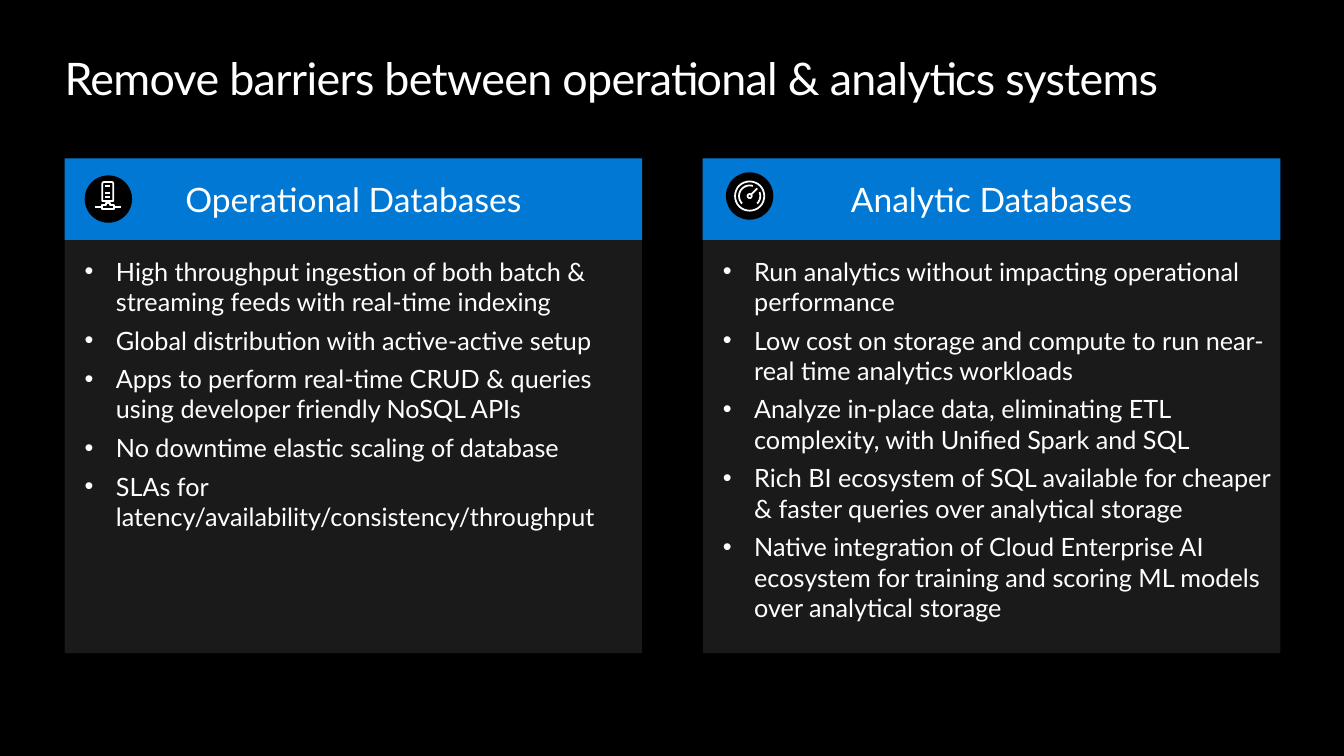
import math

from lxml import etree
from pptx import Presentation
from pptx.dml.color import RGBColor
from pptx.enum.shapes import MSO_SHAPE
from pptx.enum.text import MSO_ANCHOR, MSO_AUTO_SIZE, PP_ALIGN
from pptx.oxml.ns import qn
from pptx.util import Inches, Pt

RECT, OVAL = MSO_SHAPE.RECTANGLE, MSO_SHAPE.OVAL
TOP, MIDDLE = MSO_ANCHOR.TOP, MSO_ANCHOR.MIDDLE
LEFT, CENTER = PP_ALIGN.LEFT, PP_ALIGN.CENTER

BLACK, WHITE, BLUE = "000000", "FFFFFF", "0078D4"
MARGIN, COL_W, GUTTER = 0.64, 5.73, 0.6
HEAD_Y, HEAD_H, BODY_H = 1.57, 0.81, 4.1
DISC = 0.47
INDENT = 0.31


def arc(radius, start, end, cx=0, cy=0, steps=32):
    """Points along an arc, angles in degrees clockwise from the right."""
    angles = [math.radians(start + (end - start) * i / steps) for i in range(steps + 1)]
    return [(cx + radius * math.cos(a), cy + radius * math.sin(a)) for a in angles]


# Icon contours in thousandths of an inch around the disc centre: (points, closed)
SERVER = [
    ([(-60, 100), (-60, 60), (-20, 60), (-20, 40),
      (20, 40), (20, 60), (60, 60), (60, 100)], True),
    ([(-60, 80), (-130, 80)], False),
    ([(60, 80), (130, 80)], False),
    ([(0, 40), (0, 20)], False),
    ([(50, 20), (50, -150), (45, -165), (35, -170),
      (-40, -170), (-55, -165), (-60, -150), (-60, 20)], True),
] + [([(-30, y), (20, y)], False) for y in (-130, -60, -20)]
GAUGE = [
    (arc(20, 0, 360), True),
    (arc(145, 0, 360), True),
    (arc(105, 45, -22), False),
    (arc(105, -72, -225), False),
    ([(75, -75), (15, -15)], False),
]

COLUMNS = [
    ("Operational Databases", SERVER, (0.2, 0.17), [
        "High throughput ingestion of both batch & streaming feeds with real-time indexing",
        "Global distribution with active-active setup",
        "Apps to perform real-time CRUD & queries using developer friendly NoSQL APIs",
        "No downtime elastic scaling of database",
        "SLAs for latency/availability/consistency/throughput",
    ]),
    ("Analytic Databases", GAUGE, (0.23, 0.14), [
        "Run analytics without impacting operational performance",
        "Low cost on storage and compute to run near-real time analytics workloads",
        "Analyze in-place data, eliminating ETL complexity, with Unified Spark and SQL",
        "Rich BI ecosystem of SQL available for cheaper & faster queries over analytical storage",
        "Native integration of Cloud Enterprise AI ecosystem for training and scoring "
        "ML models over analytical storage",
    ]),
]


def rgb(color):
    return RGBColor.from_string(color)


def place(sp, *box):
    for name, value in zip(("left", "top", "width", "height"), box):
        setattr(sp, name, Inches(value))


def setup_frame(tf, anchor, insets):
    frame = {"word_wrap": True, "auto_size": MSO_AUTO_SIZE.NONE, "vertical_anchor": anchor}
    sides = ("margin_left", "margin_top", "margin_right", "margin_bottom")
    frame.update(zip(sides, map(Inches, insets)))
    for name, value in frame.items():
        setattr(tf, name, value)


def write(p, text, size, align=LEFT, after=0):
    layout = {"alignment": align, "space_before": Pt(0), "space_after": Pt(after),
              "line_spacing": 1.0}
    for name, value in layout.items():
        setattr(p, name, value)
    r = p.add_run()
    r.text = text
    for name, value in {"name": "Lato", "size": Pt(size)}.items():
        setattr(r.font, name, value)
    r.font.color.rgb = rgb(WHITE)
    return r


def add_bullet(p):
    pPr = p._p.get_or_add_pPr()
    pPr.set("marL", str(Inches(INDENT)))
    pPr.set("indent", str(-Inches(INDENT)))
    etree.SubElement(pPr, qn("a:buFont")).set("typeface", "Arial")
    etree.SubElement(pPr, qn("a:buChar")).set("char", "•")


def add_block(slide, kind, color, *box):
    sp = slide.shapes.add_shape(kind, *map(Inches, box))
    sp.shadow.inherit = False
    sp.fill.solid()
    sp.fill.fore_color.rgb = rgb(color)
    sp.line.fill.background()
    return sp


def add_icon(slide, contours, cx, cy):
    first = contours[0][0][0]
    builder = slide.shapes.build_freeform(*first, scale=Inches(1) / 1000)
    for points, closed in contours:
        builder.move_to(*points[0])
        builder.add_line_segments(points[1:], close=closed)
    sp = builder.convert_to_shape(Inches(cx), Inches(cy))
    sp.shadow.inherit = False
    sp.fill.background()
    sp.line.color.rgb = rgb(WHITE)
    sp.line.width = Pt(1.25)


def fill_title(sp, text):
    place(sp, MARGIN, 0.5, 12.05, 0.54)
    setup_frame(sp.text_frame, TOP, (0, 0, 0, 0))
    r = write(sp.text_frame.paragraphs[0], text, 32)
    r.font._element.set("spc", "-50")


def fill_list(sp, items, x):
    place(sp, x, HEAD_Y + HEAD_H, COL_W, BODY_H)
    sp.fill.solid()
    sp.fill.fore_color.rgb = rgb(WHITE)
    color = sp._element.spPr.find(".//" + qn("a:srgbClr"))
    etree.SubElement(color, qn("a:alpha")).set("val", "10000")
    tf = sp.text_frame
    setup_frame(tf, TOP, (0.2, 0.16, 0.05, 0.16))
    for i, item in enumerate(items):
        p = tf.add_paragraph() if i else tf.paragraphs[0]
        add_bullet(p)
        write(p, item, 18, after=6)


def add_header(slide, heading, icon, disc_offset, x):
    band = add_block(slide, RECT, BLUE, x, HEAD_Y, COL_W, HEAD_H)
    setup_frame(band.text_frame, MIDDLE, (0.05, 0, 0.05, 0))
    write(band.text_frame.paragraphs[0], heading, 24, CENTER)
    disc_x, disc_y = x + disc_offset[0], HEAD_Y + disc_offset[1]
    add_block(slide, OVAL, BLACK, disc_x, disc_y, DISC, DISC)
    add_icon(slide, icon, disc_x + DISC / 2, disc_y + DISC / 2)


def main():
    prs = Presentation()
    prs.slide_width, prs.slide_height = Inches(13.33), Inches(7.5)
    slide = prs.slides.add_slide(prs.slide_layouts.get_by_name("Two Content"))
    slide.background.fill.solid()
    slide.background.fill.fore_color.rgb = rgb(BLACK)

    title, *bodies = slide.placeholders
    fill_title(title, "Remove barriers between operational & analytics systems")
    for i, (heading, icon, disc_offset, items) in enumerate(COLUMNS):
        x = MARGIN + i * (COL_W + GUTTER)
        fill_list(bodies[i], items, x)
        add_header(slide, heading, icon, disc_offset, x)
    prs.save("out.pptx")


if __name__ == "__main__":
    main()
